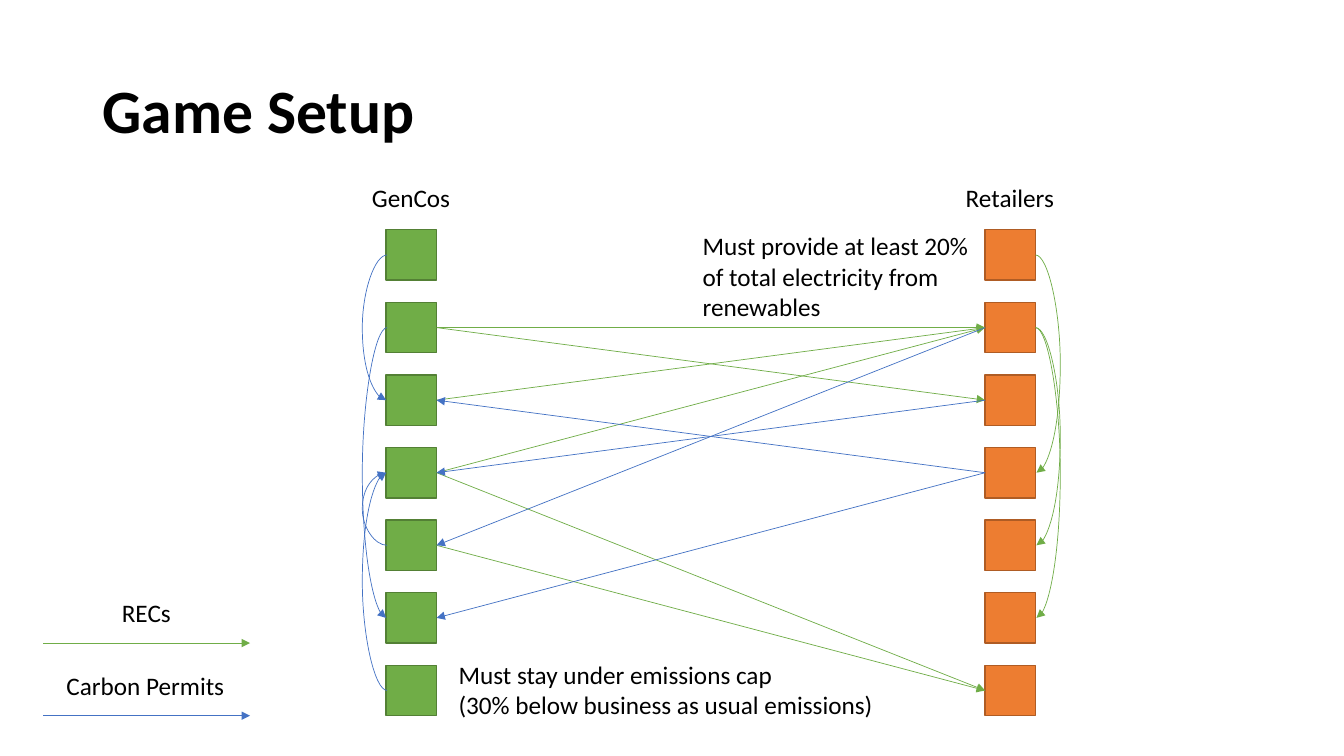
from lxml import etree
from pptx import Presentation
from pptx.dml.color import RGBColor
from pptx.enum.shapes import MSO_CONNECTOR, MSO_SHAPE
from pptx.enum.text import MSO_ANCHOR, MSO_AUTO_SIZE
from pptx.oxml.ns import qn
from pptx.util import Inches, Pt

STRAIGHT = MSO_CONNECTOR.STRAIGHT
CURVE = MSO_CONNECTOR.CURVE
RECTANGLE = MSO_SHAPE.RECTANGLE
MIDDLE = MSO_ANCHOR.MIDDLE
FIT_SHAPE = MSO_AUTO_SIZE.SHAPE_TO_FIT_TEXT

BLACK = RGBColor(0x00, 0x00, 0x00)
GREEN = RGBColor(0x70, 0xAD, 0x47)
DARK_GREEN = RGBColor(0x53, 0x80, 0x35)
ORANGE = RGBColor(0xED, 0x7D, 0x31)
DARK_ORANGE = RGBColor(0xAF, 0x5C, 0x24)
BLUE = RGBColor(0x44, 0x72, 0xC4)

FONT = "Calibri"
GENCO_LEFT, RETAILER_LEFT = 3.83, 9.77
BOX_SIZE, FIRST_TOP, ROW_STEP, ROW_COUNT = 0.5, 2.28, 0.72, 7
CURVE_WIDTH, CURVE_BULGE = 0.01, 0.25
LEFT_SITE, RIGHT_SITE = 1, 3

REC_SALES = [(2, 2), (2, 3), (3, 2), (4, 2), (4, 7), (5, 7)]
PERMIT_SALES = [(4, 3), (4, 6), (3, 4), (2, 5)]
GENCO_PERMIT_TRADES = [(1, 3), (2, 6), (5, 4), (7, 4)]
RETAILER_REC_TRADES = [(1, 4), (2, 5), (2, 6)]


def row_middle(row):
    return FIRST_TOP + (row - 1) * ROW_STEP + BOX_SIZE / 2


def add_text(page, text, left, top, width, height, size=18, bold=False, wrap=False):
    box = page.shapes.add_textbox(Inches(left), Inches(top), Inches(width), Inches(height))
    frame = box.text_frame
    frame.word_wrap = wrap
    frame.text = text
    for para in frame.paragraphs:
        for span in para.runs:
            span.font.name = FONT
            span.font.size = Pt(size)
            span.font.bold = bold
            span.font.color.rgb = BLACK
    return frame


def add_title(page, text):
    frame = add_text(page, text, 0.92, 0.4, 11.5, 1.45, size=44, bold=True, wrap=True)
    frame.vertical_anchor = MIDDLE
    frame.paragraphs[0].line_spacing = 0.9


def add_label(page, text, left, top, width, height=0.4, wrap=False):
    frame = add_text(page, text, left, top, width, height, wrap=wrap)
    frame.auto_size = FIT_SHAPE


def add_column(page, left, fill, outline):
    boxes = {}
    for row in range(1, ROW_COUNT + 1):
        top = row_middle(row) - BOX_SIZE / 2
        box = page.shapes.add_shape(
            RECTANGLE, Inches(left), Inches(top), Inches(BOX_SIZE), Inches(BOX_SIZE))
        box.shadow.inherit = False
        box.fill.solid()
        box.fill.fore_color.rgb = fill
        box.line.color.rgb = outline
        box.line.width = Pt(1)
        boxes[row] = box
    return boxes


def add_arrow(page, start, end, color, kind=STRAIGHT):
    arrow = page.shapes.add_connector(kind, *[Inches(value) for value in start + end])
    arrow.line.color.rgb = color
    arrow.line.width = Pt(0.5)
    etree.SubElement(arrow.line._get_or_add_ln(), qn("a:tailEnd"), type="triangle")
    etree.SubElement(arrow._element.spPr, qn("a:effectLst"))
    return arrow


def add_trade(page, seller, seller_site, buyer, buyer_site, color):
    arrow = add_arrow(page, (0, 0), (1, 1), color)
    arrow.begin_connect(seller, seller_site)
    arrow.end_connect(buyer, buyer_site)


def add_curve(page, start_x, end_x, start_row, end_row, color):
    start = (start_x, row_middle(start_row))
    end = (end_x, row_middle(end_row))
    curve = add_arrow(page, start, end, color, CURVE)
    guides = curve._element.spPr.find(qn("a:prstGeom")).get_or_add_avLst()
    bend = round(CURVE_BULGE / CURVE_WIDTH * 100000)
    etree.SubElement(guides, qn("a:gd"), name="adj1", fmla=f"val {bend}")


def add_legend_entry(page, text, left, width, line_y, color):
    add_label(page, text, left, line_y - 0.5, width)
    add_arrow(page, (0.43, line_y), (2.48, line_y), color)


def main():
    deck = Presentation()
    deck.slide_width = Inches(13.33)
    deck.slide_height = Inches(7.5)
    page = deck.slides.add_slide(deck.slide_layouts[6])

    add_title(page, "Game Setup")
    gencos = add_column(page, GENCO_LEFT, GREEN, DARK_GREEN)
    retailers = add_column(page, RETAILER_LEFT, ORANGE, DARK_ORANGE)
    add_label(page, "GenCos", 3.59, 1.76, 0.99)
    add_label(page, "Retailers", 9.48, 1.76, 1.08)

    for start_row, end_row in GENCO_PERMIT_TRADES:
        add_curve(page, GENCO_LEFT + CURVE_WIDTH, GENCO_LEFT, start_row, end_row, BLUE)
    for genco, retailer in REC_SALES:
        add_trade(page, gencos[genco], RIGHT_SITE, retailers[retailer], LEFT_SITE, GREEN)

    add_legend_entry(page, "RECs", 1.11, 0.69, 6.38, GREEN)
    add_legend_entry(page, "Carbon Permits", 0.56, 1.78, 7.1, BLUE)
    add_label(page, "Must stay under emissions cap\n(30% below business as usual emissions)",
              4.45, 6.49, 4.36, 0.71)
    add_label(page, "Must provide at least 20% of total electricity from renewables",
              6.87, 2.24, 3.05, 1.01, wrap=True)

    retailer_right = RETAILER_LEFT + BOX_SIZE
    for start_row, end_row in RETAILER_REC_TRADES:
        add_curve(page, retailer_right, retailer_right + CURVE_WIDTH, start_row, end_row, GREEN)
    for retailer, genco in PERMIT_SALES:
        add_trade(page, retailers[retailer], LEFT_SITE, gencos[genco], RIGHT_SITE, BLUE)

    deck.save("out.pptx")


if __name__ == "__main__":
    main()
